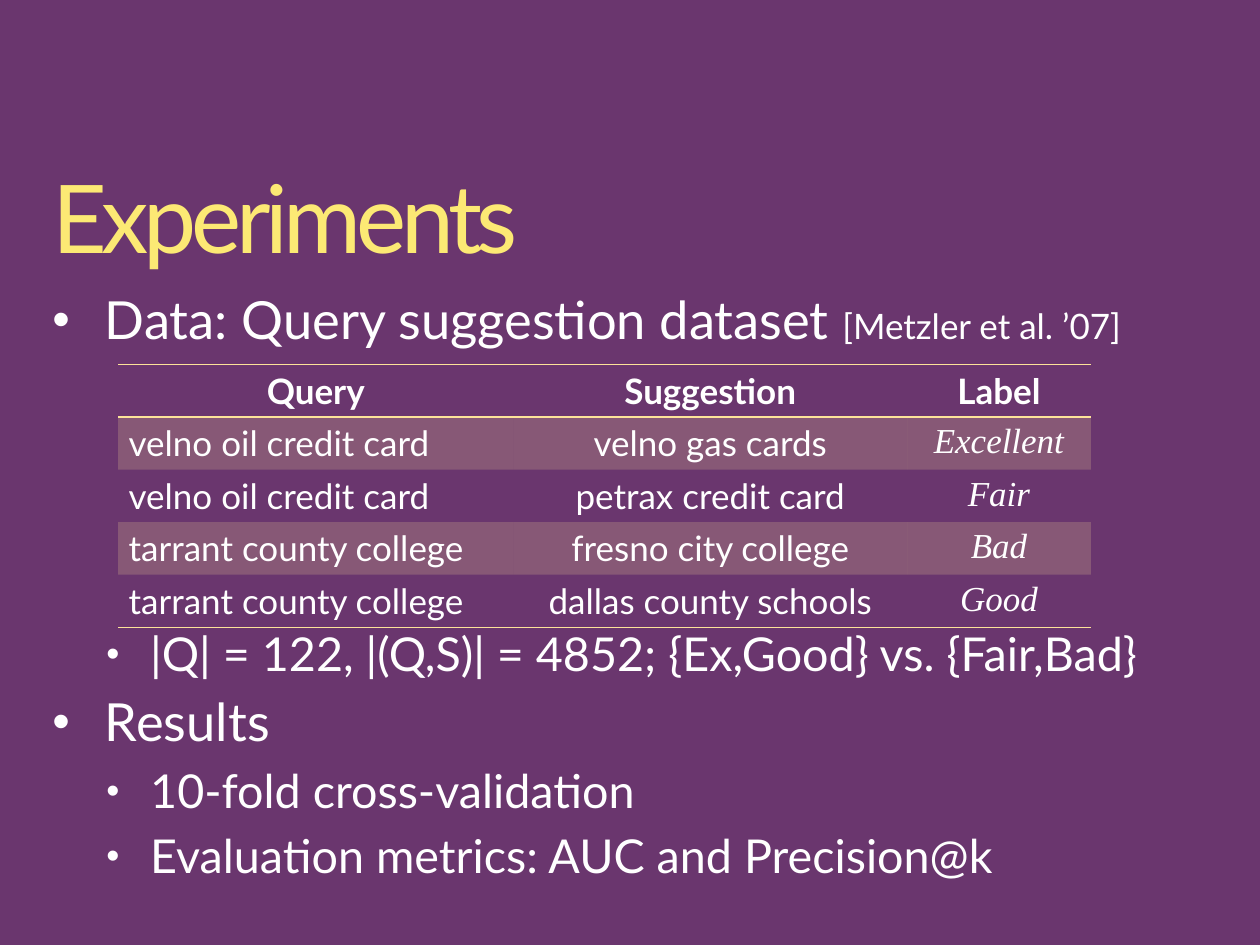
from dataclasses import dataclass

from lxml.etree import SubElement
from pptx import Presentation
from pptx.dml.color import RGBColor
from pptx.enum.text import PP_ALIGN as Align
from pptx.oxml.ns import qn
from pptx.util import Pt


@dataclass(frozen=True)
class Theme:
    background: str = "6A366E"
    title: str = "FCE974"
    text: str = "FFFFFF"
    accent: str = "FDE399"
    band_alpha: int = 20
    font: str = "Lato"
    label_font: str = "Times New Roman"
    title_size: int = 65
    level_sizes: tuple = (36, 32)
    small_size: int = 24


THEME = Theme()
LEFT, WIDTH = 36, 792
# Per outline level: text margin, first-line indent, bullet size in percent
LEVELS = ((36, -36, 95), (67, -30, 80))
NO_GRID_STYLE = "{2D5ABB26-0587-4C30-8999-92F81FD0307C}"

COLUMN_WIDTHS = (271, 270, 126)
ROW_HEIGHT = 36
ROWS = (
    ("Query", "Suggestion", "Label"),
    ("velno oil credit card", "velno gas cards", "Excellent"),
    ("velno oil credit card", "petrax credit card", "Fair"),
    ("tarrant county college", "fresno city college", "Bad"),
    ("tarrant county college", "dallas county schools", "Good"),
)
DATA_POINT = (
    (0, (("Data: Query suggestion dataset ", THEME.level_sizes[0]),
         ("[Metzler et al. ’07]", THEME.small_size))),
)
RESULT_POINTS = tuple(
    (level, ((text, THEME.level_sizes[level]),)) for level, text in (
        (1, "|Q| = 122, |(Q,S)| = 4852; {Ex,Good} vs. {Fair,Bad}"),
        (0, "Results"),
        (1, "10-fold cross-validation"),
        (1, "Evaluation metrics: AUC and Precision@k"),
    ))


def add_run(p, text, size, color=THEME.text, **formats):
    r = p.add_run()
    r.text = text
    r.font.color.rgb = RGBColor.from_string(color)
    for name, value in {"name": THEME.font, "size": Pt(size), **formats}.items():
        setattr(r.font, name, value)
    return r


def add_text_frame(s, top, height):
    tf = s.shapes.add_textbox(Pt(LEFT), Pt(top), Pt(WIDTH), Pt(height)).text_frame
    for side in ("left", "top", "right", "bottom"):
        setattr(tf, f"margin_{side}", 0)
    tf.word_wrap = True
    return tf


def add_title(s, text):
    p = add_text_frame(s, 118, 70).paragraphs[0]
    p.line_spacing = 0.9
    r = add_run(p, text, THEME.title_size, THEME.title)
    r.font._element.set("spc", "-360")


def set_bullet(p, level):
    margin, indent, percent = LEVELS[level]
    pPr = p._p.get_or_add_pPr()
    pPr.set("marL", str(Pt(margin)))
    pPr.set("indent", str(Pt(indent)))
    color = SubElement(pPr, qn("a:buClr"))
    SubElement(color, qn("a:srgbClr"), val=THEME.text)
    SubElement(pPr, qn("a:buSzPct"), val=str(percent * 1000))
    SubElement(pPr, qn("a:buFont"), typeface="Arial")
    SubElement(pPr, qn("a:buChar"), char="•")


def add_bullets(s, top, height, points):
    tf = add_text_frame(s, top, height)
    for i, (level, runs) in enumerate(points):
        p = tf.add_paragraph() if i else tf.paragraphs[0]
        set_bullet(p, level)
        p.level = level
        p.line_spacing = 0.9
        p.space_before = Pt(10 if i else 0)
        for text, size in runs:
            add_run(p, text, size)


def add_border(cell, side):
    line = SubElement(cell._tc.get_or_add_tcPr(), qn(f"a:{side}"), w=str(Pt(1)))
    fill = SubElement(line, qn("a:solidFill"))
    SubElement(fill, qn("a:srgbClr"), val=THEME.accent)


def fill_band(cell):
    cell.fill.solid()
    cell.fill.fore_color.rgb = RGBColor.from_string(THEME.accent)
    color = cell._tc.tcPr.find(qn("a:solidFill")).find(qn("a:srgbClr"))
    SubElement(color, qn("a:alpha"), val=str(THEME.band_alpha * 1000))


def fill_cell(cell, text, row, column):
    header, label = row == 0, column == 2 and row > 0
    p = cell.text_frame.paragraphs[0]
    p.alignment = Align.CENTER if header or column else Align.LEFT
    add_run(p, text, THEME.small_size, bold=header, italic=label,
            name=THEME.label_font if label else THEME.font)
    if header:
        add_border(cell, "lnT")
    if header or row == len(ROWS) - 1:
        add_border(cell, "lnB")
    if row % 2:
        fill_band(cell)
    else:
        cell.fill.background()


def add_query_table(s):
    frame = s.shapes.add_table(len(ROWS), len(COLUMN_WIDTHS), Pt(81), Pt(250),
                               Pt(sum(COLUMN_WIDTHS)), Pt(ROW_HEIGHT * len(ROWS)))
    table = frame.table
    table.horz_banding = False
    table._tbl.tblPr.find(qn("a:tableStyleId")).text = NO_GRID_STYLE
    for column, width in zip(table.columns, COLUMN_WIDTHS):
        column.width = Pt(width)
    for i, texts in enumerate(ROWS):
        for j, text in enumerate(texts):
            fill_cell(table.cell(i, j), text, i, j)


def main():
    prs = Presentation()
    prs.slide_width, prs.slide_height = Pt(864), Pt(648)
    s = prs.slides.add_slide(prs.slide_layouts[6])
    s.background.fill.solid()
    s.background.fill.fore_color.rgb = RGBColor.from_string(THEME.background)
    add_title(s, "Experiments")
    add_bullets(s, 202, 40, DATA_POINT)
    add_query_table(s)
    add_bullets(s, 433, 180, RESULT_POINTS)
    prs.save("out.pptx")


if __name__ == "__main__":
    main()
